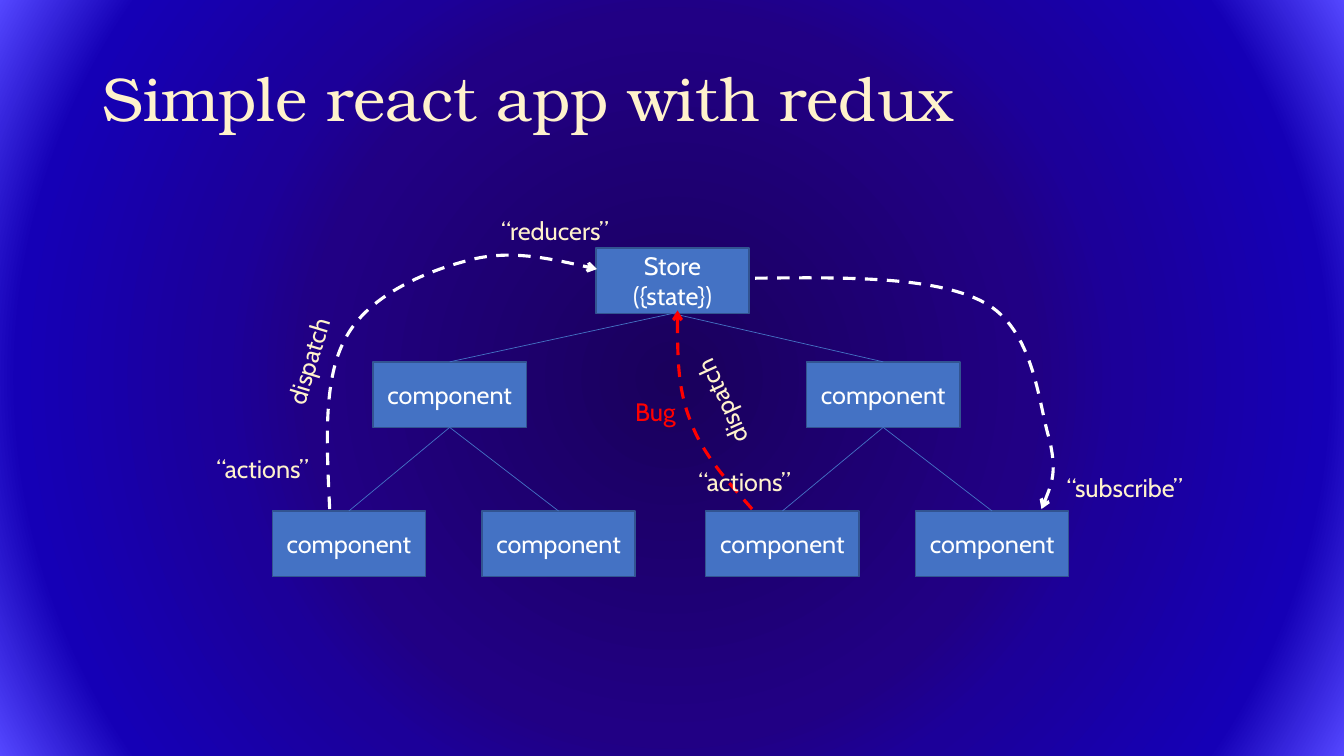
import pptx
import pptx.util
import pptx.dml.color
import pptx.enum.dml
import pptx.enum.shapes
import pptx.enum.text
import pptx.oxml
import pptx.oxml.ns
from pptx.util import Inches, Pt

CREAM, WHITE, RED = "FFF2CC", "FFFFFF", "FF0000"
BLUE, EDGE = "4472C4", "325491"
GLOW = [(0, "1A005C"), (47, "210084"), (58, "1C0099"), (85, "1500B6"), (100, "5447FF")]

# Content: component tree as (text, left, top, children)
BOX_W, BOX_H = 1.52, 0.65
STORE_TOP, PARENT_TOP, LEAF_TOP = 2.46, 3.59, 5.07
PARENT_LEFTS, LEAF_OFFSETS = (3.7, 8.0), (-1.0, 1.08)
TREE = ("Store ({state})", 5.91, STORE_TOP, [
    ("component", x, PARENT_TOP, [
        ("component", x + dx, LEAF_TOP, []) for dx in LEAF_OFFSETS])
    for x in PARENT_LEFTS])

# Flow arrows: start point, then three Bezier points per segment
FLOWS = [
    (WHITE, [(3.27, 5.05), (3.24, 4.4), (3.2, 3.76), (3.43, 3.35), (3.65, 2.94),
             (4.2, 2.7), (4.62, 2.59), (5.03, 2.47), (5.48, 2.57), (5.92, 2.67)]),
    (WHITE, [(7.49, 2.76), (8.38, 2.75), (9.28, 2.74), (9.76, 3), (10.25, 3.26),
             (10.3, 3.99), (10.4, 4.33), (10.49, 4.67), (10.41, 4.86), (10.33, 5.05)]),
    (RED, [(7.46, 5.05), (7.22, 4.78), (6.97, 4.51), (6.85, 4.18),
           (6.72, 3.86), (6.72, 3.47), (6.72, 3.08)]),
]

# Labels: text, left, top, width, rotation, colour, alignment
LABELS = [
    ("“actions”", 1.87, 4.45, 1.47, 0, CREAM, "CENTER"),
    ("“reducers”", 4.77, 2.09, 1.47, 0, CREAM, "CENTER"),
    ("“subscribe”", 10.42, 4.64, 1.47, 0, CREAM, "CENTER"),
    ("Bug", 5.96, 3.88, 0.84, 0, RED, "RIGHT"),
    ("“actions”", 6.65, 4.58, 1.47, 0, CREAM, "CENTER"),
    ("dispatch", 2.32, 3.38, 1.47, 286.7, CREAM, "CENTER"),
    ("dispatch", 6.42, 3.79, 1.47, 245.6, CREAM, "CENTER"),
]


def rgb(color):
    return pptx.dml.color.RGBColor.from_string(color)


def write(sp, text, size=18, font="Cabin", color=WHITE, align="CENTER", anchor="MIDDLE",
          spacing=None):
    tf = sp.text_frame
    tf.word_wrap = True
    tf.vertical_anchor = getattr(pptx.enum.text.MSO_ANCHOR, anchor)
    p = tf.paragraphs[0]
    p.alignment = getattr(pptx.enum.text.PP_ALIGN, align)
    p.line_spacing = spacing
    r = p.add_run()
    r.text = text
    r.font.size, r.font.name = Pt(size), font
    r.font.color.rgb = rgb(color)


def set_line(sp, color, width):
    sp.line.color.rgb = rgb(color)
    sp.line.width = Pt(width)


def add_node(s, text, left, top, children):
    sp = s.shapes.add_shape(pptx.enum.shapes.MSO_SHAPE.RECTANGLE,
                            Inches(left), Inches(top), Inches(BOX_W), Inches(BOX_H))
    sp.shadow.inherit = False
    sp.fill.solid()
    sp.fill.fore_color.rgb = rgb(BLUE)
    set_line(sp, EDGE, 1)
    write(sp, text)
    for child in children:
        link(s, sp, add_node(s, *child))
    return sp


def link(s, parent, child):
    cx = s.shapes.add_connector(pptx.enum.shapes.MSO_CONNECTOR.STRAIGHT, 0, 0, 0, 0)
    cx.begin_connect(parent, 2)  # bottom centre
    cx.end_connect(child, 0)     # top centre
    set_line(cx, BLUE, 0.5)
    pptx.oxml.ns.qn("a:effectLst")
    cx._element.spPr.append(cx._element.makeelement(pptx.oxml.ns.qn("a:effectLst")))


def add_flow(s, color, points):
    qn = pptx.oxml.ns.qn
    pts = [(Inches(x), Inches(y)) for x, y in points]
    fb = s.shapes.build_freeform(*pts[0], scale=1.0)
    fb.add_line_segments(pts[1:], close=False)
    sp = fb.convert_to_shape()
    sp.shadow.inherit = False
    sp.fill.background()
    set_line(sp, color, 2.25)
    sp.line.dash_style = pptx.enum.dml.MSO_LINE.DASH
    # Turn every three straight segments into one cubic curve
    path = next(sp._element.iter(qn("a:path")))
    steps = path.findall(qn("a:lnTo"))
    for i in range(0, len(steps), 3):
        curve = path.makeelement(qn("a:cubicBezTo"))
        path.append(curve)
        for step in steps[i:i + 3]:
            curve.append(step[0])
            path.remove(step)
    ln = sp.line._get_or_add_ln()
    ln.append(ln.makeelement(qn("a:tailEnd"), {"type": "arrow"}))


prs = pptx.Presentation()
prs.slide_width, prs.slide_height = Inches(13.33), Inches(7.5)
s = prs.slides.add_slide(prs.slide_layouts[5])

# Background glow
s.background.fill.solid()
bg = next(s._element.iter(pptx.oxml.ns.qn("p:bgPr")))
stops = "".join(f'<a:gs pos="{pos * 1000}"><a:srgbClr val="{c}"/></a:gs>' for pos, c in GLOW)
bg.replace(bg[0], pptx.oxml.parse_xml(
    f'<a:gradFill {pptx.oxml.ns.nsdecls("a")} rotWithShape="1"><a:gsLst>{stops}</a:gsLst>'
    '<a:path path="circle"><a:fillToRect l="50000" t="50000" r="50000" b="50000"/></a:path>'
    '</a:gradFill>'))

# Title
title = s.shapes.title
title.left, title.top, title.width, title.height = map(Inches, (0.92, 0.28, 11.5, 1.45))
write(title, "Simple react app with redux", size=44, font="TeX Gyre Bonum", color=CREAM,
      align="LEFT", spacing=0.9)

# Component tree, flow arrows and labels
add_node(s, *TREE)
for color, points in FLOWS:
    add_flow(s, color, points)
for text, left, top, width, rotation, color, align in LABELS:
    tb = s.shapes.add_textbox(Inches(left), Inches(top), Inches(width), Inches(0.4))
    tb.rotation = rotation
    write(tb, text, color=color, align=align, anchor="TOP")
    tb.text_frame.auto_size = pptx.enum.text.MSO_AUTO_SIZE.SHAPE_TO_FIT_TEXT

prs.save("out.pptx")
